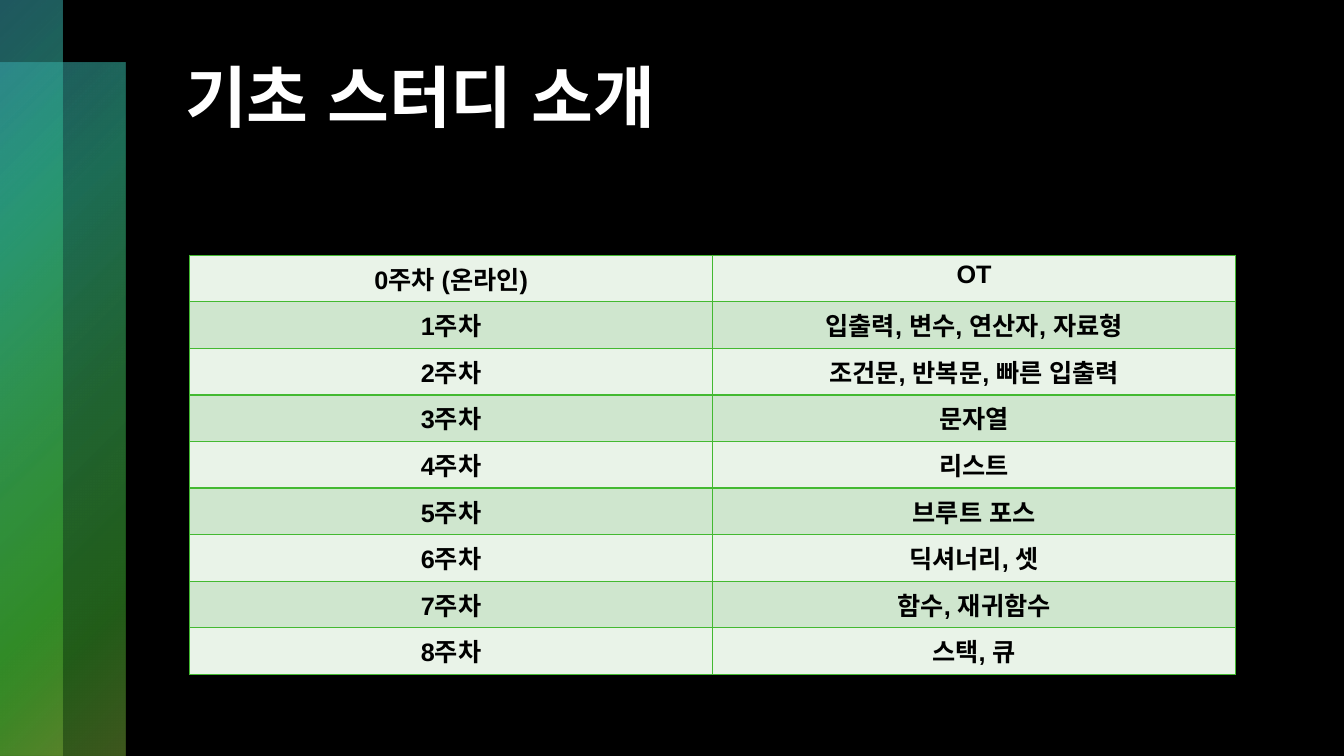
from lxml.etree import SubElement
from pptx import Presentation
from pptx.dml.color import RGBColor
from pptx.enum.lang import MSO_LANGUAGE_ID as Language
from pptx.enum.shapes import MSO_SHAPE as Preset
from pptx.enum.text import MSO_ANCHOR as Anchor, PP_ALIGN as Align
from pptx.oxml.ns import qn
from pptx.util import Inches, Pt

UNIT = 0.625
SLIDE_COLUMNS, SLIDE_ROWS = 21.33, 12
BLACK = RGBColor(0x00, 0x00, 0x00)
WHITE = RGBColor(0xFF, 0xFF, 0xFF)
PALE_GREEN = RGBColor(0xE9, 0xF3, 0xE8)
SOFT_GREEN = RGBColor(0xCF, 0xE6, 0xCE)
GREEN = RGBColor(0x43, 0xB9, 0x31)
TEAL = RGBColor(0x3F, 0xAF, 0xBF)
SEA_GREEN = RGBColor(0x30, 0xB5, 0x8E)
LEAF_GREEN = RGBColor(0x3C, 0xB6, 0x5F)
OLIVE = RGBColor(0x7A, 0xAF, 0x3A)
BAND_STOPS = [(0, TEAL, 50), (25, SEA_GREEN, 60), (50, LEAF_GREEN, 55),
              (81, GREEN, 50), (99, OLIVE, 50)]
TITLE_FORMAT = {"size": Pt(48), "bold": True, "name": "Arial",
                "language_id": Language.KOREAN}
CELL_FORMAT = {**TITLE_FORMAT, "size": Pt(18)}
TOPICS = ["OT", "입출력, 변수, 연산자, 자료형", "조건문, 반복문, 빠른 입출력",
          "문자열", "리스트", "브루트 포스", "딕셔너리, 셋", "함수, 재귀함수",
          "스택, 큐"]


def grid(*units):
    return [Inches(unit * UNIT) for unit in units]


def add_color(parent, color, opacity=100):
    tint = SubElement(parent, qn("a:srgbClr"), val=str(color))
    if opacity < 100:
        SubElement(tint, qn("a:alpha"), val=str(opacity * 1000))


def write(frame, text, color, formats):
    run = frame.paragraphs[0].add_run()
    run.text = text
    for attribute, value in formats.items():
        setattr(run.font, attribute, value)
    run.font.color.rgb = color
    SubElement(run.font._element, qn("a:ea"), typeface=formats["name"])


def add_gradient_band(slide, *place):
    band = slide.shapes.add_shape(Preset.RECTANGLE, *grid(*place))
    band.shadow.inherit = False
    band.line.fill.background()
    band.fill.gradient()
    gradient = band._element.spPr.find(qn("a:gradFill"))
    for part in list(gradient):
        gradient.remove(part)
    stops = SubElement(gradient, qn("a:gsLst"))
    for position, color, opacity in BAND_STOPS:
        stop = SubElement(stops, qn("a:gs"), pos=str(position * 1000))
        add_color(stop, color, opacity)
    path = SubElement(gradient, qn("a:path"), {"path": "circle"})
    SubElement(path, qn("a:fillToRect"), r="100000", b="100000")


def add_title(slide, text, *place):
    title = slide.shapes.add_textbox(*grid(*place)).text_frame
    title.word_wrap = True
    title.vertical_anchor = Anchor.TOP
    write(title, text, WHITE, TITLE_FORMAT)


def add_borders(cell):
    properties = cell._tc.get_or_add_tcPr()
    for index, side in enumerate(("lnL", "lnR", "lnT", "lnB")):
        border = properties.makeelement(qn(f"a:{side}"), {"w": str(Pt(1))})
        add_color(SubElement(border, qn("a:solidFill")), GREEN)
        properties.insert(index, border)


def add_schedule(slide, entries, *place):
    frame = slide.shapes.add_table(len(entries), 2, *grid(*place))
    schedule = frame.table
    schedule.first_row = schedule.horz_banding = False
    for row, entry in enumerate(entries):
        for column, text in enumerate(entry):
            cell = schedule.cell(row, column)
            cell.fill.solid()
            cell.fill.fore_color.rgb = SOFT_GREEN if row % 2 else PALE_GREEN
            cell.margin_top = Inches(0.05 if text.isascii() else 0.11)
            add_borders(cell)
            write(cell.text_frame, text, BLACK, CELL_FORMAT)
            cell.text_frame.paragraphs[0].alignment = Align.CENTER


def main():
    deck = Presentation()
    deck.slide_width, deck.slide_height = grid(SLIDE_COLUMNS, SLIDE_ROWS)
    slide = deck.slides.add_slide(deck.slide_layouts[6])
    slide.background.fill.solid()
    slide.background.fill.fore_color.rgb = BLACK
    add_gradient_band(slide, 0, 1, 1.99, SLIDE_ROWS - 1)
    add_gradient_band(slide, 0, 0, 1, SLIDE_ROWS)
    add_title(slide, "기초 스터디 소개", 2.78, 0.8, 16.6, 2.72)
    weeks = [f"{week}주차" for week in range(len(TOPICS))]
    weeks[0] += " (온라인)"
    add_schedule(slide, list(zip(weeks, TOPICS)), 3.01, 4.05, 16.6, 6.66)
    deck.save("out.pptx")


if __name__ == "__main__":
    main()
